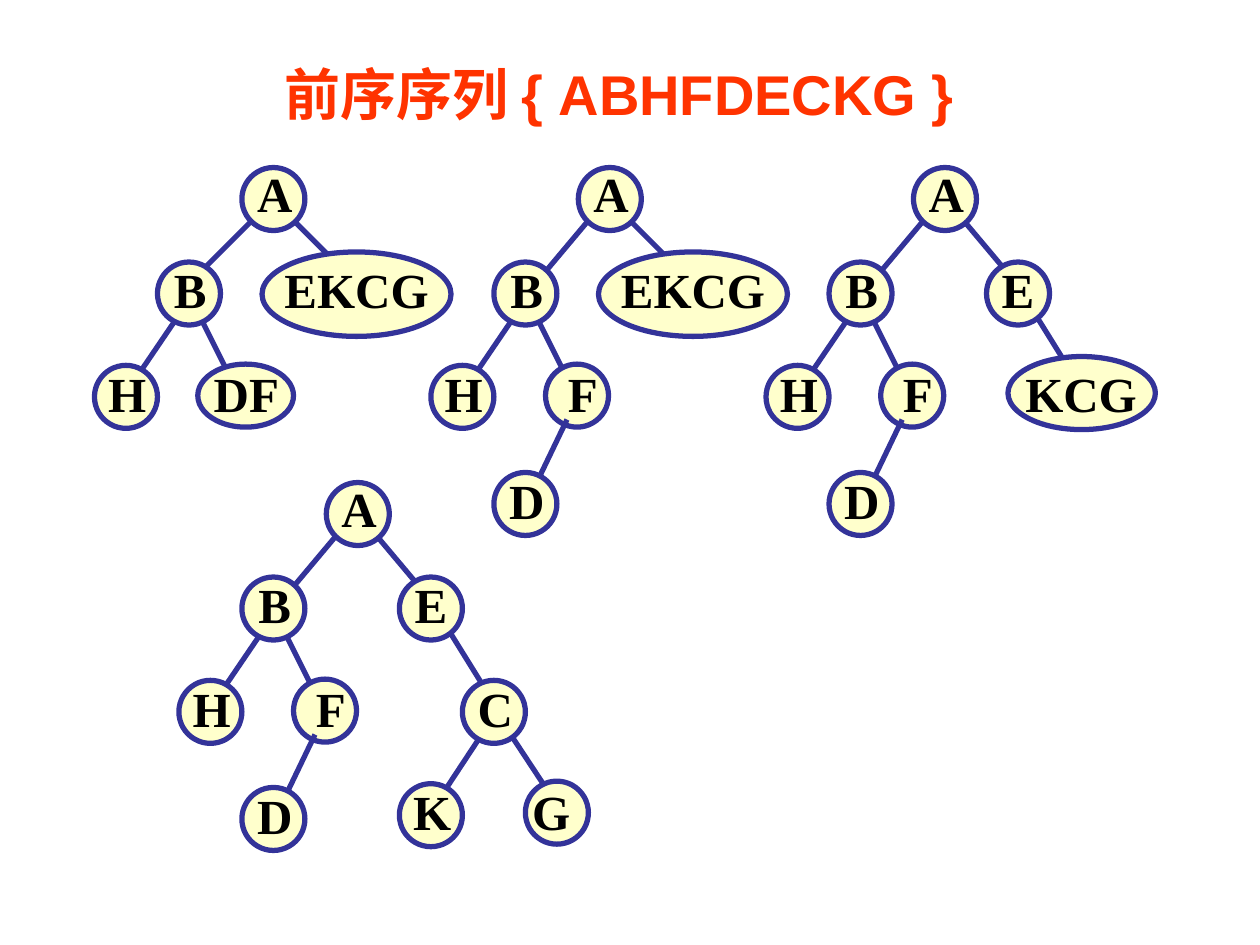
from lxml import etree
from pptx import Presentation
from pptx.dml.color import RGBColor
from pptx.enum.shapes import MSO_CONNECTOR, MSO_SHAPE
from pptx.enum.text import MSO_ANCHOR, MSO_AUTO_SIZE, PP_ALIGN
from pptx.oxml.ns import qn
from pptx.util import Inches, Pt

ELLIPSE = MSO_SHAPE.OVAL
STRAIGHT = MSO_CONNECTOR.STRAIGHT
CENTER = PP_ALIGN.CENTER
MIDDLE, TOP = MSO_ANCHOR.MIDDLE, MSO_ANCHOR.TOP
FIT_SHAPE = MSO_AUTO_SIZE.SHAPE_TO_FIT_TEXT

NODE_FILL, OUTLINE, LABEL, TITLE = "FFFFCC", "333399", "000000", "FF3300"
LABEL_HEIGHT = 0.57

NODES = {
    "A": (1.17, 0, 0.5, 0.5),
    "B": (0.5, 0.75, 0.5, 0.5),
    "E": (1.75, 0.75, 0.5, 0.5),
    "H": (0, 1.57, 0.5, 0.5),
    "F": (0.91, 1.56, 0.5, 0.5),
    "C": (2.25, 1.57, 0.5, 0.5),
    "D": (0.5, 2.42, 0.5, 0.5),
    "K": (1.75, 2.39, 0.5, 0.5),
    "G": (2.75, 2.37, 0.5, 0.5),
    "DF": (0.82, 1.56, 0.76, 0.5),
    "KCG": (1.92, 1.5, 1.17, 0.58),
    "EKCG": (1.33, 0.67, 1.5, 0.67),
}

LABELS = {
    "A": (0.02, -0.08, 0.48),
    "B": (0.03, -0.07, 0.46),
    "E": (0.02, -0.07, 0.46),
    "H": (0.01, -0.07, 0.5),
    "F": (-0.08, -0.06, 0.75),
    "C": (0.02, -0.07, 0.48),
    "D": (0.02, -0.07, 0.48),
    "K": (0.01, -0.07, 0.5),
    "G": (-0.17, -0.05, 0.75),
    "DF": (0.01, -0.06, 0.75),
    "KCG": (-0.02, 0, 1.2),
    "EKCG": (0.05, 0.01, 1.4),
}

EDGES = {
    "A-B": (1.25, 0.42, 0.83, 0.92),
    "A-B wide": (1.25, 0.42, 0.75, 0.92),
    "A-E": (1.5, 0.34, 1.92, 0.84),
    "A-EKCG": (1.58, 0.42, 2.08, 0.92),
    "B-H": (0.67, 1.17, 0.33, 1.67),
    "B-F": (0.83, 1.17, 1.08, 1.67),
    "E-C": (2.09, 1.09, 2.5, 1.75),
    "F-D": (1.08, 2, 0.83, 2.52),
    "C-K": (2.41, 1.99, 2.08, 2.49),
    "C-G": (2.58, 1.92, 2.91, 2.42),
}

LEFT_BRANCH = ["A", "B", "H", "F", "F-D", "D"]
TREES = [
    (0.75, 1.33, ["B-F", "B-H", "A-B wide", "A-EKCG", "A", "EKCG", "B", "H", "DF"]),
    (3.42, 1.33, ["B-F", "B-H", "A-B", "A-EKCG", "EKCG"] + LEFT_BRANCH),
    (6.08, 1.33, ["E-C", "KCG", "B-F", "B-H", "A-B", "A-E", "E"] + LEFT_BRANCH),
    (1.42, 3.83, ["E-C", "B-F", "B-H", "A-B", "A-E", "E"] + LEFT_BRANCH
     + ["C-G", "C-K", "C", "K", "G"]),
]


def color(value):
    return RGBColor.from_string(value)


def add_text(slide, box, wording, font_name, size, ink, anchor):
    holder = slide.shapes.add_textbox(*map(Inches, box))
    frame = holder.text_frame
    frame.vertical_anchor = anchor
    paragraph = frame.paragraphs[0]
    paragraph.alignment = CENTER
    run = paragraph.add_run()
    run.text = wording
    run.font.name = font_name
    run.font.size = Pt(size)
    run.font.bold = True
    run.font.color.rgb = color(ink)
    return frame


def add_title(slide, box):
    frame = add_text(slide, box, "前序序列 { ABHFDECKG }", "Arial", 32, TITLE, TOP)
    frame.word_wrap = True


def draw_outline(line):
    line.color.rgb = color(OUTLINE)
    line.width = Pt(3)


def add_edge(slide, left, top, ends):
    x1, y1, x2, y2 = ends
    points = (left + x1, top + y1, left + x2, top + y2)
    edge = slide.shapes.add_connector(STRAIGHT, *map(Inches, points))
    draw_outline(edge.line)
    etree.SubElement(edge._element.spPr, qn("a:effectLst"))


def add_node(slide, box, name):
    node = slide.shapes.add_shape(ELLIPSE, *map(Inches, box))
    node.shadow.inherit = False
    node.fill.solid()
    node.fill.fore_color.rgb = color(NODE_FILL)
    draw_outline(node.line)
    dx, dy, width = LABELS[name]
    label_box = (box[0] + dx, box[1] + dy, width, LABEL_HEIGHT)
    frame = add_text(slide, label_box, name, "Times New Roman", 28, LABEL, MIDDLE)
    frame.word_wrap = False
    frame.auto_size = FIT_SHAPE


def add_tree(slide, left, top, parts):
    for part in parts:
        if part in EDGES:
            add_edge(slide, left, top, EDGES[part])
        else:
            dx, dy, width, height = NODES[part]
            add_node(slide, (left + dx, top + dy, width, height), part)


def main():
    deck = Presentation()
    deck.slide_width, deck.slide_height = Inches(10), Inches(7.5)
    slide = deck.slides.add_slide(deck.slide_layouts[6])
    add_title(slide, (2.08, 0.42, 5.67, 0.67))
    for left, top, parts in TREES:
        add_tree(slide, left, top, parts)
    deck.save("out.pptx")


if __name__ == "__main__":
    main()
